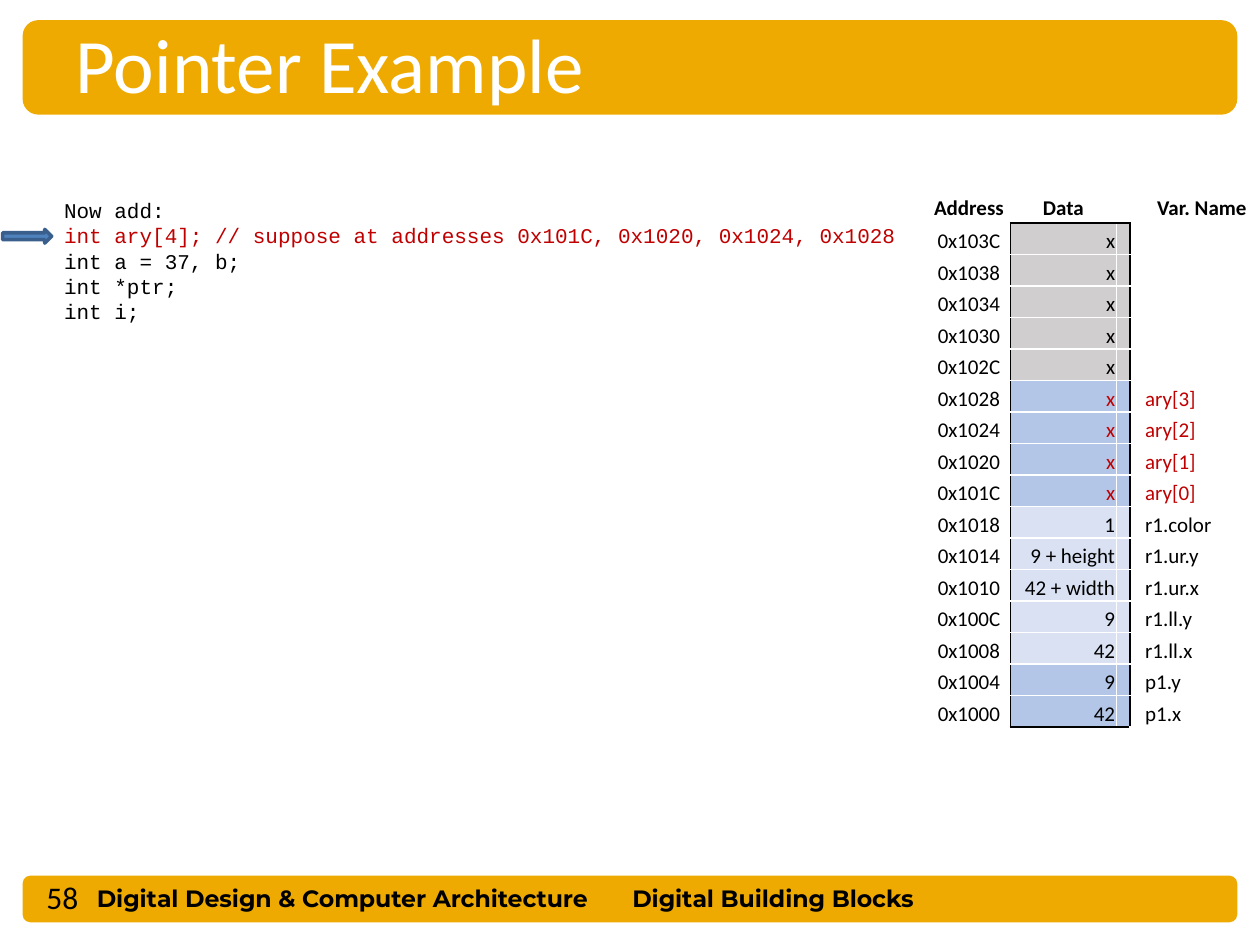
from lxml import etree
from pptx import Presentation
from pptx.dml.color import RGBColor
from pptx.enum.shapes import MSO_SHAPE
from pptx.enum.text import MSO_ANCHOR, PP_ALIGN
from pptx.oxml.ns import qn
from pptx.util import Inches, Pt

LEFT, CENTER, RIGHT = PP_ALIGN.LEFT, PP_ALIGN.CENTER, PP_ALIGN.RIGHT
MIDDLE, BOTTOM = MSO_ANCHOR.MIDDLE, MSO_ANCHOR.BOTTOM
BLACK = RGBColor(0x00, 0x00, 0x00)
WHITE = RGBColor(0xFF, 0xFF, 0xFF)
RED = RGBColor(0xC0, 0x00, 0x00)
GOLD = RGBColor(0xEE, 0xAA, 0x00)
GRAY = RGBColor(0xD0, 0xCE, 0xCE)
BLUE = RGBColor(0xB4, 0xC6, 0xE7)
PALE_BLUE = RGBColor(0xD9, 0xE1, 0xF2)
ARROW_FILL = RGBColor(0x4F, 0x81, 0xBD)
ARROW_LINE = RGBColor(0x3A, 0x5F, 0x8C)

TITLE = "Pointer Example"
CODE = [
    ("Now add:", BLACK),
    ("int ary[4]; // suppose at addresses 0x101C, 0x1020, 0x1024, 0x1028", RED),
    ("int a = 37, b;", BLACK),
    ("int *ptr;", BLACK),
    ("int i;", BLACK),
]
FOOTERS = [
    ("Digital Design & Computer Architecture", (0.67, 6.97, 4.44, 0.33)),
    ("Digital Building Blocks", (4.92, 6.97, 2.94, 0.33)),
]
PAGE_NUMBER = "58"

HEADERS = ["Address", "Data", "", "", "Var. Name"]
TOP_ADDRESS, WORD_SIZE = 0x103C, 4
# One entry per word, highest address first: data, variable, fill, text colour
MEMORY = [("x", "", GRAY, BLACK)] * 5 + [
    ("x", f"ary[{index}]", BLUE, RED) for index in (3, 2, 1, 0)
] + [
    ("1", "r1.color", PALE_BLUE, BLACK),
    ("9 + height", "r1.ur.y", PALE_BLUE, BLACK),
    ("42 + width", "r1.ur.x", PALE_BLUE, BLACK),
    ("9", "r1.ll.y", PALE_BLUE, BLACK),
    ("42", "r1.ll.x", PALE_BLUE, BLACK),
    ("9", "p1.y", BLUE, BLACK),
    ("42", "p1.x", BLUE, BLACK),
]
COLUMN_WIDTHS = [0.66, 0.84, 0.11, 0.11, 0.92]
ROW_HEIGHT = 0.25


def inches(box):
    return [Inches(length) for length in box]


def set_font(font, **values):
    font.color.rgb = values.pop("color")
    for name, value in values.items():
        setattr(font, name, value)


def add_preset(slide, preset, box, fill):
    shape = slide.shapes.add_shape(preset, *inches(box))
    shape.shadow.inherit = False
    shape.fill.solid()
    shape.fill.fore_color.rgb = fill
    shape.line.fill.background()
    return shape


def add_text(slide, box, lines, **font):
    """Add a text box from (text, colour) lines that share one font."""
    frame = slide.shapes.add_textbox(*inches(box)).text_frame
    frame.word_wrap = True
    for number, (text, color) in enumerate(lines):
        paragraph = frame.add_paragraph() if number else frame.paragraphs[0]
        run = paragraph.add_run()
        run.text = text
        set_font(run.font, color=color, **font)


def set_borders(cell, **colors):
    """Draw 1 pt borders; keys are L, R, T and B, given in that order."""
    properties = cell._tc.get_or_add_tcPr()
    for side, color in colors.items():
        line = etree.SubElement(properties, qn(f"a:ln{side}"), w=str(Pt(1)))
        fill = etree.SubElement(line, qn("a:solidFill"))
        etree.SubElement(fill, qn("a:srgbClr"), val=str(color))


def fill_cell(cell, text, align, anchor, color=BLACK, bold=False, fill=None):
    cell.margin_left = cell.margin_right = cell.margin_top = Inches(0.01)
    cell.margin_bottom = 0
    cell.vertical_anchor = anchor
    paragraph = cell.text_frame.paragraphs[0]
    paragraph.alignment = align
    if text:
        run = paragraph.add_run()
        run.text = text
        set_font(run.font, color=color, name="Calibri", size=Pt(12), bold=bold)
    else:
        # Keeps an empty cell from stretching its row
        etree.SubElement(paragraph._p, qn("a:endParaRPr"), sz="1200")
    if fill is None:
        cell.fill.background()
    else:
        cell.fill.solid()
        cell.fill.fore_color.rgb = fill


def add_memory_table(slide):
    row_count = len(MEMORY) + 1
    box = (7.36, 1.52, sum(COLUMN_WIDTHS), row_count * ROW_HEIGHT)
    table = slide.shapes.add_table(row_count, len(COLUMN_WIDTHS), *inches(box)).table
    table.first_row = table.horz_banding = False
    for column, width in zip(table.columns, COLUMN_WIDTHS):
        column.width = Inches(width)
    for row in table.rows:
        row.height = Inches(ROW_HEIGHT)

    for column, header in enumerate(HEADERS):
        cell = table.cell(0, column)
        if column in (1, 2):
            set_borders(cell, B=BLACK)
        fill_cell(cell, header, CENTER, MIDDLE, bold=True)

    for row, (data, variable, fill, color) in enumerate(MEMORY, start=1):
        address, value, padding, gap, name = table.rows[row].cells
        top = BLACK if row == 1 else WHITE
        bottom = BLACK if row == len(MEMORY) else WHITE
        set_borders(address, R=BLACK)
        set_borders(value, L=BLACK, T=top, B=bottom)
        set_borders(padding, R=BLACK, T=top, B=bottom)
        set_borders(gap, L=BLACK)
        address_text = f"0x{TOP_ADDRESS - (row - 1) * WORD_SIZE:04X}"
        fill_cell(address, address_text, CENTER, BOTTOM)
        fill_cell(value, data, RIGHT, BOTTOM, color, fill=fill)
        fill_cell(padding, "", LEFT, BOTTOM, fill=fill)
        fill_cell(gap, "", LEFT, BOTTOM)
        fill_cell(name, variable, LEFT, BOTTOM, color)


def add_title(slide):
    title = slide.shapes.title
    title.left, title.top, title.width, title.height = inches((0.5, 0.08, 8.67, 0.84))
    title.text = TITLE
    title.text_frame.vertical_anchor = MIDDLE
    paragraph = title.text_frame.paragraphs[0]
    paragraph.alignment = LEFT
    set_font(paragraph.runs[0].font, color=WHITE, name="Calibri", size=Pt(44))
    slide.shapes.element.append(title.element)  # in front of the gold bar


def main():
    presentation = Presentation()
    presentation.slide_width, presentation.slide_height = Inches(10), Inches(7.5)
    slide = presentation.slides.add_slide(presentation.slide_layouts[5])

    for bar in ((0.18, 6.95, 9.64, 0.37), (0.18, 0.16, 9.64, 0.75)):
        add_preset(slide, MSO_SHAPE.ROUNDED_RECTANGLE, bar, GOLD)
    for text, box in FOOTERS:
        add_text(slide, box, [(text, BLACK)], name="Montserrat", size=Pt(13.5), bold=True)
    add_title(slide)

    add_text(slide, (0.41, 1.52, 6.95, 1.11), CODE, name="Courier New", size=Pt(12))
    arrow = add_preset(slide, MSO_SHAPE.RIGHT_ARROW, (0.02, 1.82, 0.39, 0.11), ARROW_FILL)
    arrow.line.color.rgb = ARROW_LINE
    arrow.line.width = Pt(2)
    add_memory_table(slide)
    add_text(slide, (0.27, 6.92, 0.82, 0.39), [(PAGE_NUMBER, BLACK)],
             name="Calibri", size=Pt(18))
    presentation.save("out.pptx")


if __name__ == "__main__":
    main()
